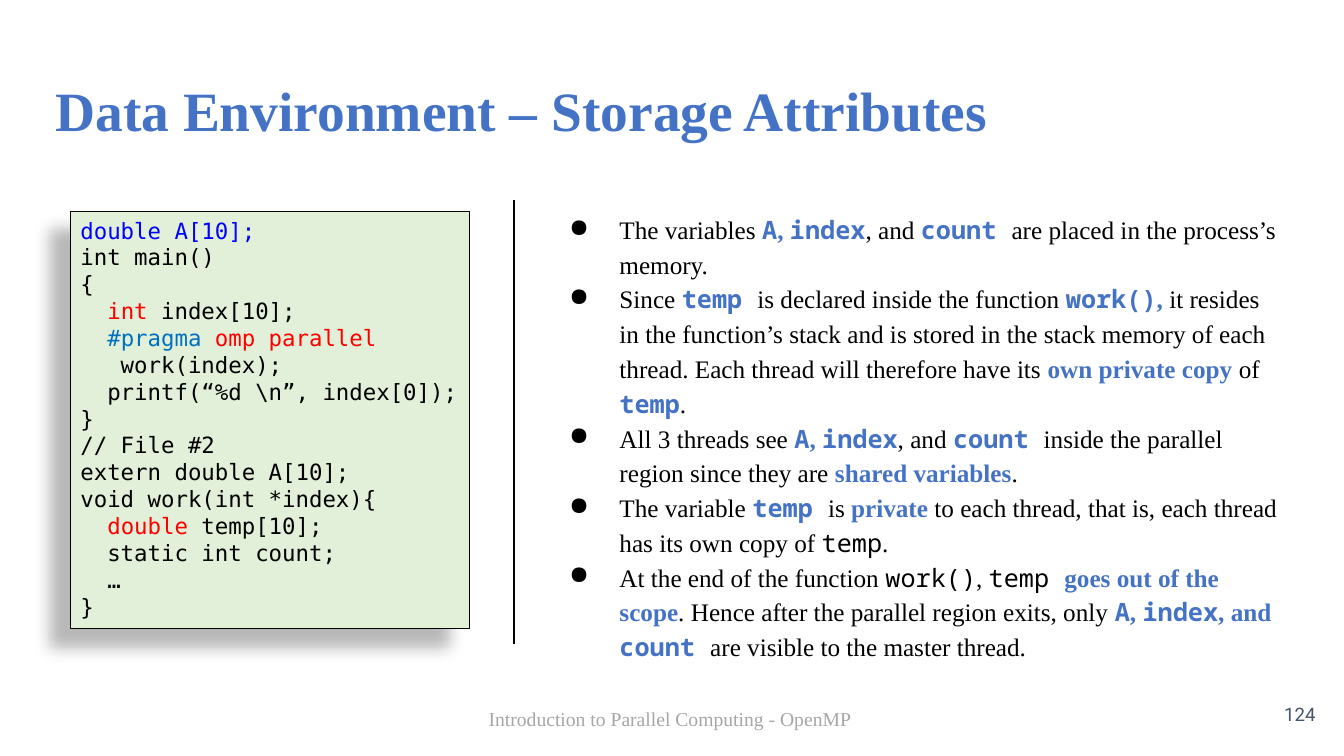
from collections import namedtuple

from lxml import etree
from pptx import Presentation
from pptx.dml.color import RGBColor
from pptx.enum import shapes, text
from pptx.oxml import ns
from pptx.util import Pt

BLACK = RGBColor(0x00, 0x00, 0x00)
ACCENT = RGBColor(0x44, 0x72, 0xC4)
SLATE = RGBColor(0x44, 0x54, 0x6A)
GREY = RGBColor(0xA6, 0xA6, 0xA6)
PALE_GREEN = RGBColor(0xE2, 0xF0, 0xD9)
RED = RGBColor(0xFF, 0x00, 0x00)
BLUE = RGBColor(0x00, 0x00, 0xFF)
DIRECTIVE_BLUE = RGBColor(0x00, 0x70, 0xC0)

SERIF, MONO, CODE_FONT = "Times New Roman", "Noto Sans Mono", "DejaVu Sans Mono"

Style = namedtuple("Style", "font size color bold", defaults=(BLACK, False))

TITLE = Style(SERIF, 39.6, ACCENT, True)
NUMBER = Style("Roboto", 13.3, SLATE)
FOOTER = Style(SERIF, 14, GREY)
PLAIN = Style(SERIF, 18)
STRONG = Style(SERIF, 18, ACCENT, True)
NAME = Style(MONO, 18)
STRONG_NAME = Style(MONO, 18, ACCENT, True)
CODE = Style(CODE_FONT, 16)
KEYWORD = Style(CODE_FONT, 16, RED)
GLOBAL = Style(CODE_FONT, 16, BLUE)
DIRECTIVE = Style(CODE_FONT, 16, DIRECTIVE_BLUE)

SHARED_NAMES = [("A", STRONG_NAME), (", ", STRONG), ("index", STRONG_NAME)]

POINTS = [
    [("The variables ", PLAIN), *SHARED_NAMES, (", and ", PLAIN), ("count ", STRONG_NAME),
     ("are placed in the process’s memory.", PLAIN)],
    [("Since ", PLAIN), ("temp ", STRONG_NAME), ("is declared inside the function ", PLAIN),
     ("work()", STRONG_NAME), (", ", STRONG),
     ("it resides in the function’s stack and is stored in the stack memory of each thread. "
      "Each thread will therefore have its ", PLAIN),
     ("own private copy ", STRONG), ("of ", PLAIN), ("temp", STRONG_NAME), (".", PLAIN)],
    [("All 3 threads see ", PLAIN), *SHARED_NAMES, (", and ", PLAIN), ("count ", STRONG_NAME),
     ("inside the parallel region since they are ", PLAIN),
     ("shared variables", STRONG), (".", PLAIN)],
    [("The variable ", PLAIN), ("temp ", STRONG_NAME), ("is ", PLAIN), ("private", STRONG),
     (" to each thread, that is, each thread has its own copy of ", PLAIN),
     ("temp", NAME), (".", PLAIN)],
    [("At the end of the function ", PLAIN), ("work()", NAME), (", ", PLAIN), ("temp ", NAME),
     ("goes out of the scope", STRONG),
     (". Hence after the parallel region exits, only ", PLAIN),
     *SHARED_NAMES, (", and ", STRONG), ("count ", STRONG_NAME),
     ("are visible to the master thread.", PLAIN)],
]

LISTING = [
    [("double A[10];", GLOBAL)],
    [("int main()", CODE)],
    [("{", CODE)],
    [("  ", CODE), ("int", KEYWORD), (" index[10];", CODE)],
    [("  ", CODE), ("#pragma ", DIRECTIVE), ("omp parallel", KEYWORD)],
    [("   work(index);", CODE)],
    [("  printf(“%d \\n”, index[0]);", CODE)],
    [("}", CODE)],
    [("// File #2", CODE)],
    [("extern double A[10];", CODE)],
    [("void work(int *index){", CODE)],
    [("  ", CODE), ("double", KEYWORD), (" temp[10];", CODE)],
    [("  static int count;", CODE)],
    [("  …", CODE)],
    [("}", CODE)],
]


def add_child(parent, tag, **attributes):
    """Append a DrawingML element and return it."""
    values = {key: str(value) for key, value in attributes.items()}
    return etree.SubElement(parent, ns.qn(tag), values)


def write(frame, paragraphs, align=text.PP_ALIGN.LEFT):
    """Fill a text frame with paragraphs of styled runs."""
    frame.word_wrap = True
    for number, runs in enumerate(paragraphs):
        paragraph = frame.add_paragraph() if number else frame.paragraphs[0]
        paragraph.alignment = align
        for words, style in runs:
            run = paragraph.add_run()
            run.text = words
            run.font.name = style.font
            run.font.size = Pt(style.size)
            run.font.bold = style.bold
            run.font.color.rgb = style.color


def add_text(slide, place, paragraphs, align=text.PP_ALIGN.LEFT, inset=7.2):
    """Add a text box and return its text frame."""
    frame = slide.shapes.add_textbox(*map(Pt, place)).text_frame
    frame.margin_top = frame.margin_bottom = Pt(inset)
    write(frame, paragraphs, align)
    return frame


def add_points(slide, place, points):
    """Add a bulleted list with hanging indents."""
    for paragraph in add_text(slide, place, points).paragraphs:
        properties = paragraph._p.get_or_add_pPr()
        properties.set("marL", str(Pt(48)))
        properties.set("indent", str(Pt(-36)))
        add_child(properties, "a:buChar", char="●")
        paragraph.line_spacing = 1.15


def add_listing(slide, place, lines):
    """Add a code panel with a soft shadow at its lower left."""
    panel = slide.shapes.add_shape(shapes.MSO_SHAPE.RECTANGLE, *map(Pt, place))
    panel.fill.solid()
    panel.fill.fore_color.rgb = PALE_GREEN
    panel.line.color.rgb = BLACK
    panel.line.width = Pt(0.75)
    panel.shadow.inherit = False
    effects = panel._element.spPr.find(ns.qn("a:effectLst"))
    shadow = add_child(effects, "a:outerShdw", blurRad=Pt(11.8), dist=Pt(19.7),
                       dir=141 * 60000, algn="ctr", rotWithShape=0)
    add_child(add_child(shadow, "a:srgbClr", val=BLACK), "a:alpha", val=28000)
    panel.text_frame.vertical_anchor = text.MSO_ANCHOR.TOP
    write(panel.text_frame, lines)


def add_divider(slide, x, top, bottom):
    """Add a vertical rule."""
    divider = slide.shapes.add_connector(
        shapes.MSO_CONNECTOR.STRAIGHT, Pt(x), Pt(top), Pt(x), Pt(bottom))
    divider.line.color.rgb = BLACK
    divider.line.width = Pt(1.5)
    add_child(divider._element.spPr, "a:effectLst")


def main():
    """Build the slide and save it."""
    deck = Presentation()
    deck.slide_width, deck.slide_height = Pt(960), Pt(540)
    slide = deck.slides.add_slide(deck.slide_layouts[6])
    add_text(slide, (32.4, 46.8, 894.2, 60.5), [[("Data Environment – Storage Attributes", TITLE)]])
    page = add_text(slide, (889.2, 489.6, 57.6, 41), [[("124", NUMBER)]], text.PP_ALIGN.RIGHT)
    page.vertical_anchor = text.MSO_ANCHOR.MIDDLE
    add_points(slide, (387.4, 142.6, 533.5, 347), POINTS)
    add_listing(slide, (50.4, 151.2, 285.1, 298), LISTING)
    add_divider(slide, 367.2, 142.6, 460)
    add_text(slide, (318.2, 501.1, 324, 28.8),
             [[("Introduction to Parallel Computing - OpenMP ", FOOTER)]],
             text.PP_ALIGN.CENTER, inset=3.6)
    deck.save("out.pptx")


if __name__ == "__main__":
    main()
